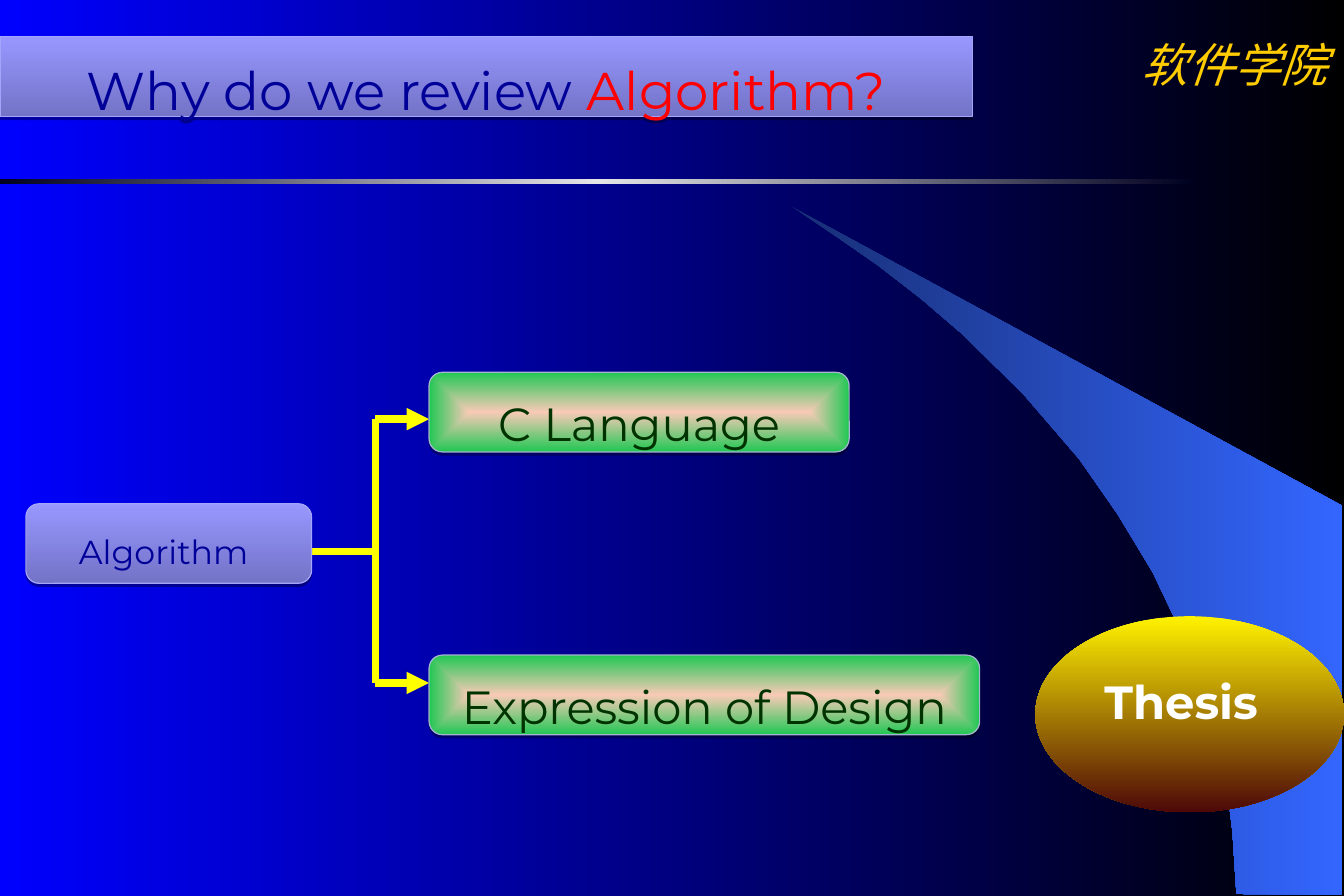
import pptx
import pptx.util
import pptx.dml.color
import pptx.enum.shapes
import pptx.enum.text
import pptx.oxml
import pptx.oxml.ns

PX = 7620  # 120 px to the inch
FONT = "Montserrat"
HUES = {
    "blue": "0000FF", "black": "000000", "gold": "FFCC00", "dusk": "182F76",
    "sky": "3366FF", "night": "000020", "silver": "E5E5E8", "plum": "7373C7",
    "lilac": "9797FF", "edge": "A4A4FB", "navy": "000099", "red": "FF0000",
    "peach": "F8CAB6", "green": "21C754", "steel": "A5B5CF", "forest": "003300",
    "yellow": "FFFF00", "lemon": "FFF200", "wine": "4D0808", "white": "FFFFFF",
}
FORM = pptx.enum.shapes.MSO_SHAPE
ALIGN = pptx.enum.text.PP_ALIGN
MIDDLE = pptx.enum.text.MSO_ANCHOR.MIDDLE
NS = pptx.oxml.ns.nsdecls("a")
qn = pptx.oxml.ns.qn
SWEEP = [(242, 898), (1348, 899)]
CURVE = [(1242, 898), (1348, 899), (1348, 508), (796, 208), (842, 239),
         (881, 266), (925, 300), (967, 336), (1028, 396), (1084, 461),
         (1123, 517), (1158, 575), (1186, 634), (1206, 686), (1219, 731),
         (1232, 787), (1238, 835)]


def emu(*sizes):
    return [pptx.util.Emu(size * PX) for size in sizes]


def color(name):
    return pptx.dml.color.RGBColor.from_string(HUES[name])


def blend(fill, node, names, angle=None):
    """Fill with evenly spaced stops; without an angle, spread from the centre."""
    fill.gradient()
    step = 100000 // (len(names) - 1)
    stops = "".join(
        f'<a:gs pos="{i * step}"><a:srgbClr val="{HUES[name]}"/></a:gs>'
        for i, name in enumerate(names))
    if angle is None:
        way = ('<a:path path="rect"><a:fillToRect l="50000" t="50000" '
               'r="50000" b="50000"/></a:path>')
    else:
        way = f'<a:lin ang="{angle * 60000}" scaled="0"/>'
    old = node.find(qn("a:gradFill"))
    node.replace(old, pptx.oxml.parse_xml(
        f'<a:gradFill {NS} rotWithShape="1"><a:gsLst>{stops}</a:gsLst>{way}</a:gradFill>'))


def paint(shape, names, angle=None):
    blend(shape.fill, shape._element.spPr, names, angle)
    shape.line.fill.background()
    shape.shadow.inherit = False


def write(shape, runs, size, align, inset, space=1.4, font=FONT):
    frame = shape.text_frame
    frame.word_wrap = True
    frame.auto_size = pptx.enum.text.MSO_AUTO_SIZE.NONE
    (frame.margin_left, frame.margin_top,
     frame.margin_right, frame.margin_bottom) = emu(*inset)
    para = frame.paragraphs[0]
    para.alignment = align
    para.line_spacing = space
    para.space_before = pptx.util.Pt(0)
    for text, hue in runs:
        run = para.add_run()
        run.text = text
        run.font.name = font
        run.font.size = pptx.util.Pt(size)
        run.font.color.rgb = color(hue)
    return para


def panel(shape, names, angle, edge, runs, size, inset=(0, 0, 0, 0)):
    """Give a rounded label its fill, edge, drop shadow and text."""
    paint(shape, names, angle)
    shape.line.color.rgb = color(edge)
    shape.line.width = pptx.util.Pt(0.75)
    shape._element.spPr.find(qn("a:effectLst")).append(pptx.oxml.parse_xml(
        f'<a:outerShdw {NS} blurRad="0" dist="22860" dir="5400000" rotWithShape="0">'
        '<a:srgbClr val="000000"><a:alpha val="35000"/></a:srgbClr></a:outerShdw>'))
    shape.text_frame.vertical_anchor = MIDDLE
    write(shape, runs, size, ALIGN.CENTER, inset)


def link(slide, x1, y1, x2, y2, arrow=False):
    line = slide.shapes.add_connector(
        pptx.enum.shapes.MSO_CONNECTOR.STRAIGHT, *emu(x1, y1, x2, y2))
    line.line.color.rgb = color("yellow")
    line.line.width = pptx.util.Pt(4.5)
    if arrow:
        line.line._get_or_add_ln().append(
            pptx.oxml.parse_xml(f'<a:tailEnd {NS} type="triangle"/>'))
    line._element.spPr.append(pptx.oxml.parse_xml(f'<a:effectLst {NS}/>'))


def scene(slide, width):
    """Draw the backdrop: gradient, school name, sweep and rule."""
    fill = slide.background.fill
    fill.gradient()
    back = slide._element.find(".//" + qn("p:bgPr"))
    blend(fill, back, ["blue", "black"], 0)
    school = slide.shapes.add_textbox(*emu(width - 220, 30, 220, 68))
    para = write(school, [("软件学院", "gold")], 28, ALIGN.CENTER,
                 (12, 6, 12, 6), 1, "Times New Roman")
    para.runs[0].font.italic = True
    path = slide.shapes.build_freeform(*CURVE[0], scale=PX)
    path.add_line_segments(CURVE[1:], close=True)
    paint(path.convert_to_shape(), ["dusk", "sky"], 0)
    rule = slide.shapes.add_shape(FORM.RECTANGLE, *emu(0, 180, 1199, 5))
    paint(rule, ["night", "silver", "night"], 0)


def head(slide, x, y, w, h):
    title = slide.shapes.title
    title.left, title.top, title.width, title.height = emu(x, y, w, h)
    title._element.spPr.append(pptx.oxml.parse_xml(
        f'<a:prstGeom {NS} prst="roundRect"><a:avLst/></a:prstGeom>'))
    panel(title, ["plum", "lilac"], 270, "edge",
          [("Why do we review ", "navy"), ("Algorithm?", "red")], 32)


def tree(slide, x, y, high):
    """Draw the root, its two topics and the links between them."""
    root, tall, gap = 287, 80, 118
    left, trunk = x + root + gap, x + root + 64
    mid = y + 180
    ends = [y + 47, y + 312]
    link(slide, x + root, mid, trunk, mid)
    link(slide, trunk, ends[0], trunk, ends[1])
    for end in ends:
        link(slide, trunk, end, left, end, True)
    box = slide.shapes.add_shape(
        FORM.ROUNDED_RECTANGLE, *emu(x, y + 132, root, tall))
    panel(box, ["plum", "lilac"], 270, "edge", [("Algorithm", "navy")], 20,
          (0, 0, 10, 0))
    topics = [("C Language", y, 422),
              ("Expression of Design", y + high - tall, 553)]
    for text, top, wide in topics:
        box = slide.shapes.add_shape(
            FORM.ROUNDED_RECTANGLE, *emu(left, top, wide, tall))
        panel(box, ["peach", "green"], None, "steel", [(text, "forest")], 28)


def badge(slide, x, y, w, h):
    oval = slide.shapes.add_shape(FORM.OVAL, *emu(x, y, w, h))
    paint(oval, ["lemon", "wine"], 90)
    oval.text_frame.vertical_anchor = pptx.enum.text.MSO_ANCHOR.TOP
    para = write(oval, [("Thesis", "white")], 28, ALIGN.LEFT, (24, 6, 24, 6))
    para.runs[0].font.bold = True


def main():
    deck = pptx.Presentation()
    deck.slide_width, deck.slide_height = emu(1350, 900)
    slide = deck.slides.add_slide(deck.slide_layouts[5])
    scene(slide, 1350)
    head(slide, 0, 37, 977, 80)
    tree(slide, 26, 374, 364)
    badge(slide, 1040, 619, 310, 197)
    deck.save("out.pptx")


if __name__ == "__main__":
    main()
